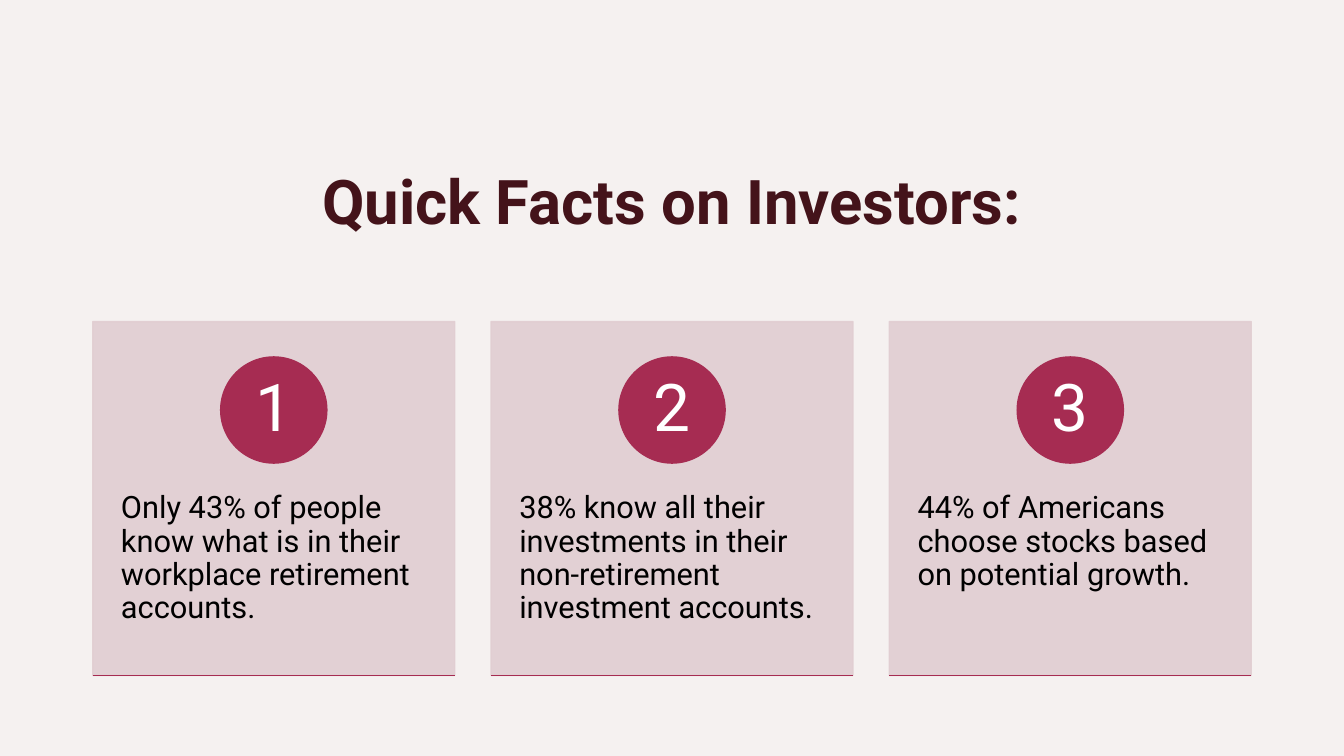
from lxml.etree import SubElement
from pptx import Presentation
from pptx.dml.color import RGBColor
from pptx.enum.shapes import MSO_CONNECTOR, MSO_SHAPE
from pptx.enum.text import MSO_ANCHOR, PP_ALIGN
from pptx.oxml.ns import qn
from pptx.util import Inches, Pt

WIDTH, HEIGHT = 13.33, 7.5
FONT = "Roboto"
COLORS = {
    "white": "FFFFFF",
    "tint": "F2ECEA",
    "card": "E1CDD1",
    "accent": "A62C52",
    "title": "44131A",
    "body": "000000",
}
FACTS = [
    "Only 43% of people know what is in their workplace retirement accounts.",
    "38% know all their investments in their non-retirement investment accounts.",
    "44% of Americans choose stocks based on potential growth.",
]
CARD_LEFT, CARD_TOP, CARD_WIDTH, CARD_HEIGHT, CARD_STEP = 0.92, 3.19, 3.59, 3.51, 3.95


def color(name):
    return RGBColor.from_string(COLORS[name])


def set_opacity(fill_parent, percent):
    rgb = fill_parent.find(f"{qn('a:solidFill')}/{qn('a:srgbClr')}")
    SubElement(rgb, qn("a:alpha"), val=str(percent * 1000))


def add_block(slide, preset, box, fill, opacity=100, outlined=False):
    block = slide.shapes.add_shape(preset, *map(Inches, box))
    block.shadow.inherit = False
    block.fill.solid()
    block.fill.fore_color.rgb = color(fill)
    if outlined:
        block.line.color.rgb = color(fill)
        block.line.width = Pt(1)
    else:
        block.line.fill.background()
    if opacity < 100:
        properties = block.fill._xPr
        set_opacity(properties, opacity)
        if outlined:
            set_opacity(properties.find(qn("a:ln")), opacity)


def add_text(slide, box, words, size, ink, margins=(0.1, 0.05), align=PP_ALIGN.LEFT,
             anchor=MSO_ANCHOR.TOP, bold=False, spacing=1.0):
    frame = slide.shapes.add_textbox(*map(Inches, box)).text_frame
    frame.word_wrap = True
    frame.vertical_anchor = anchor
    frame.margin_left = frame.margin_right = Inches(margins[0])
    frame.margin_top = frame.margin_bottom = Inches(margins[1])
    paragraph = frame.paragraphs[0]
    paragraph.text = words
    paragraph.alignment = align
    paragraph.line_spacing = spacing
    paragraph.font.name = FONT
    paragraph.font.size = Pt(size)
    paragraph.font.bold = bold
    paragraph.font.color.rgb = color(ink)


def add_backdrop(slide, box):
    add_block(slide, MSO_SHAPE.RECTANGLE, box, "white")
    add_block(slide, MSO_SHAPE.RECTANGLE, box, "tint", opacity=70)


def add_fact_card(slide, box, number, fact):
    left, top, width, height = box
    bottom = top + height
    badge, numeral = 0.3 * height, 0.21 * height
    badge_top = top + 0.1 * height
    center = left + width / 2
    inset = (badge - numeral) / 2

    add_block(slide, MSO_SHAPE.RECTANGLE, box, "card", opacity=90, outlined=True)
    add_text(slide, (left, top + 0.38 * height, width, 0.6 * height), fact, 22, "body",
             margins=(0.28, 0.36), spacing=0.9)
    add_block(slide, MSO_SHAPE.OVAL, (center - badge / 2, badge_top, badge, badge),
              "accent", outlined=True)
    add_text(slide, (center - numeral / 2, badge_top + inset, numeral, numeral),
             str(number), 47, "white", margins=(0.08, 0.01), align=PP_ALIGN.CENTER,
             anchor=MSO_ANCHOR.MIDDLE, spacing=0.9)

    base_rule = slide.shapes.add_connector(
        MSO_CONNECTOR.STRAIGHT, *map(Inches, (left, bottom, left + width, bottom)))
    base_rule.line.color.rgb = color("accent")
    base_rule.line.width = Pt(1)
    SubElement(base_rule._element.spPr, qn("a:effectLst"))


def main():
    presentation = Presentation()
    presentation.slide_width = Inches(WIDTH)
    presentation.slide_height = Inches(HEIGHT)
    slide = presentation.slides.add_slide(presentation.slide_layouts[6])

    add_backdrop(slide, (0, 0, WIDTH, HEIGHT))
    for index, fact in enumerate(FACTS):
        card_box = (CARD_LEFT + index * CARD_STEP, CARD_TOP, CARD_WIDTH, CARD_HEIGHT)
        add_fact_card(slide, card_box, index + 1, fact)
    add_text(slide, (0.09 * WIDTH, 0.13 * HEIGHT, 0.82 * WIDTH, 0.19 * HEIGHT),
             "Quick Facts on Investors:", 44, "title", align=PP_ALIGN.CENTER,
             anchor=MSO_ANCHOR.BOTTOM, bold=True)
    presentation.save("out.pptx")


if __name__ == "__main__":
    main()
